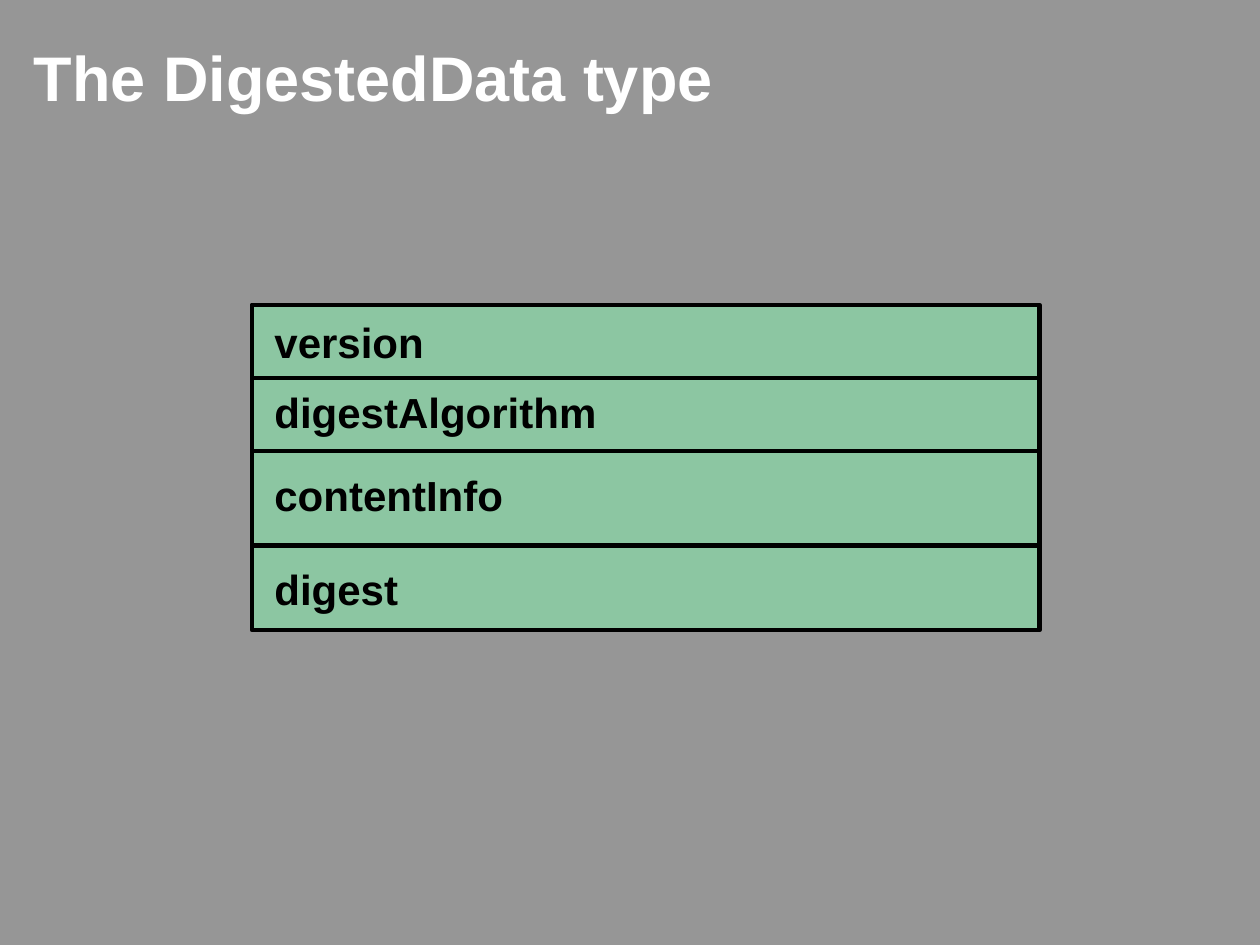
from lxml.etree import SubElement
from pptx import Presentation
from pptx.dml.color import RGBColor
from pptx.enum.shapes import MSO_CONNECTOR, MSO_SHAPE
from pptx.enum.text import MSO_ANCHOR
from pptx.oxml.ns import qn
from pptx.util import Inches, Pt

GRAY = RGBColor(0x96, 0x96, 0x96)
GREEN = RGBColor(0x8C, 0xC6, 0xA2)
BLACK = RGBColor(0, 0, 0)
WHITE = RGBColor(255, 255, 255)

LEFT, WIDTH = 2, 6.25
TOP, BOTTOM = 2.42, 5
LINE_WIDTH = Pt(2.75)
DIVIDERS = [3, 3.58, 4.33]
# Field name, top and width of its label
FIELDS = [
    ("version", 2.46, 3.01),
    ("digestAlgorithm", 3.02, 5.42),
    ("contentInfo", 3.68, 3.67),
    ("digest", 4.42, 3.67),
]


def add_text(shapes, text, left, top, width, height, size, color):
    box = shapes.add_textbox(Inches(left), Inches(top), Inches(width), Inches(height))
    frame = box.text_frame
    frame.word_wrap = True
    frame.text = text
    font = frame.paragraphs[0].runs[0].font
    font.name, font.size, font.bold = "Arial", Pt(size), True
    font.color.rgb = color
    return frame


def add_title(slide, text):
    frame = add_text(slide.shapes, text, 0.17, 0.17, 8.25, 0.74, 36, WHITE)
    frame.vertical_anchor = MSO_ANCHOR.MIDDLE
    frame.margin_top, frame.margin_bottom = Inches(0.07), 0
    frame.paragraphs[0].line_spacing = 1.1


def add_frame(shapes):
    frame = shapes.add_shape(MSO_SHAPE.RECTANGLE, Inches(LEFT), Inches(TOP),
                             Inches(WIDTH), Inches(BOTTOM - TOP))
    frame.shadow.inherit = False
    frame.fill.solid()
    frame.fill.fore_color.rgb = GREEN
    frame.line.color.rgb = BLACK
    frame.line.width = LINE_WIDTH


def add_divider(shapes, y):
    divider = shapes.add_connector(MSO_CONNECTOR.STRAIGHT, Inches(LEFT), Inches(y),
                                   Inches(LEFT + WIDTH), Inches(y))
    divider.line.color.rgb = BLACK
    divider.line.width = LINE_WIDTH
    SubElement(divider._element.spPr, qn("a:effectLst"))


def main():
    presentation = Presentation()
    presentation.slide_width, presentation.slide_height = Inches(10), Inches(7.5)
    slide = presentation.slides.add_slide(presentation.slide_layouts[6])
    slide.background.fill.solid()
    slide.background.fill.fore_color.rgb = GRAY

    add_title(slide, "The DigestedData type")
    structure = slide.shapes.add_group_shape().shapes
    add_frame(structure)
    for y in DIVIDERS:
        add_divider(structure, y)
    for name, top, width in FIELDS:
        add_text(structure, name, LEFT + 0.08, top, width, 0.5, 24, BLACK)
    presentation.save("out.pptx")


if __name__ == "__main__":
    main()
